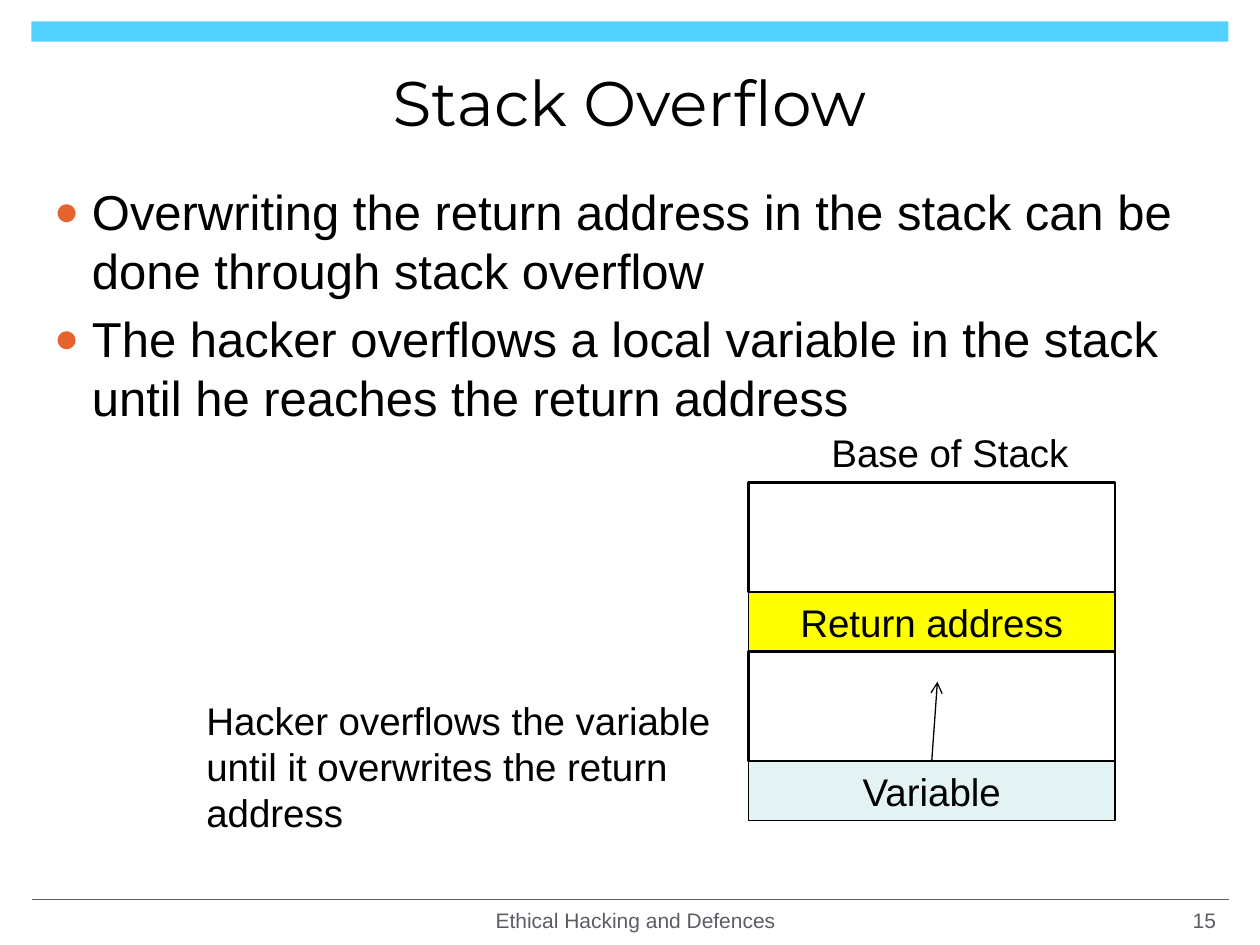
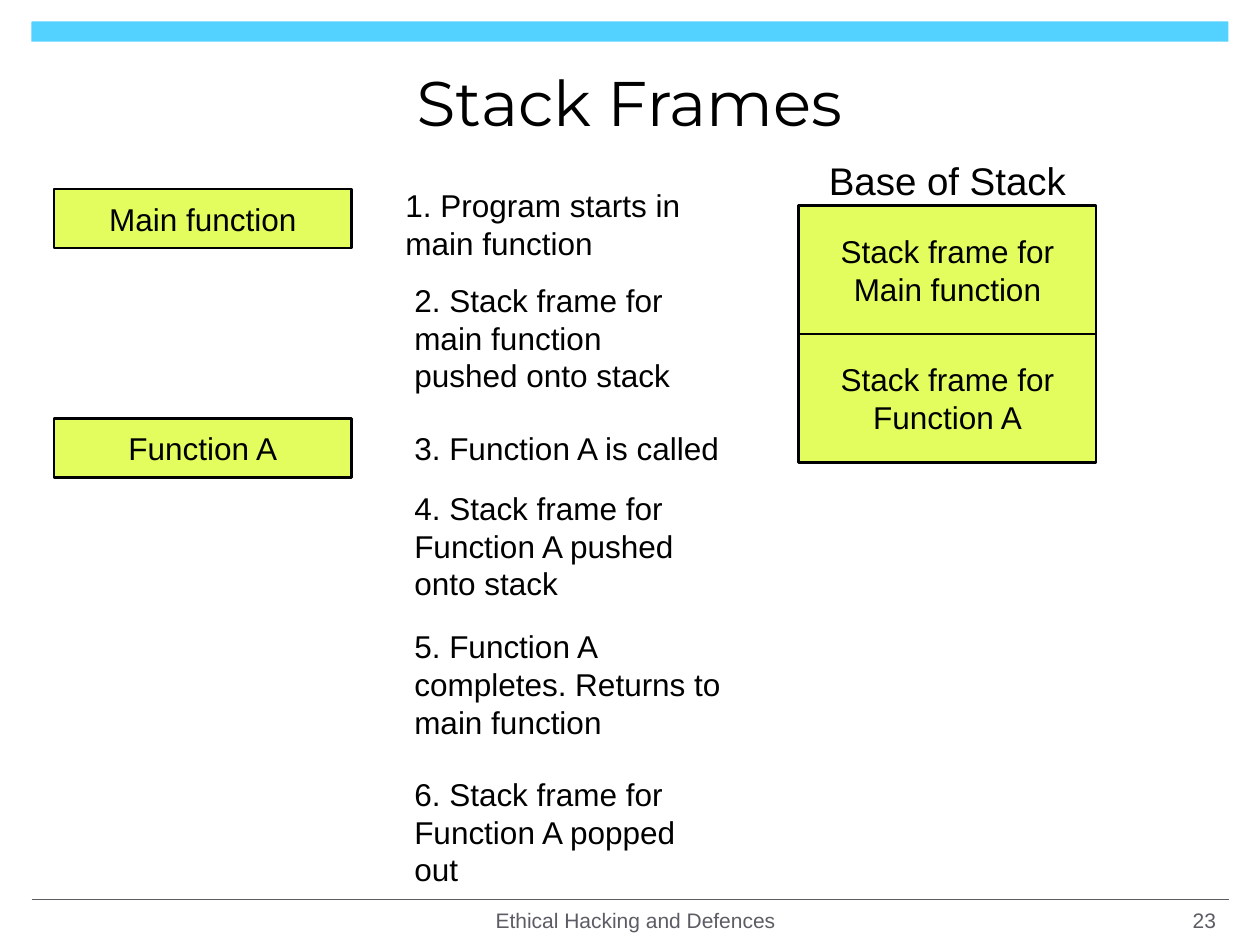
from dataclasses import dataclass

from lxml import etree
from pptx import Presentation
from pptx.dml.color import RGBColor
from pptx.enum.shapes import MSO_CONNECTOR, MSO_SHAPE
from pptx.enum.text import MSO_ANCHOR, MSO_AUTO_SIZE, PP_ALIGN
from pptx.oxml.ns import qn
from pptx.util import Inches, Pt


@dataclass(frozen=True)
class Theme:
    text: str = "000000"
    band: str = "53D2FF"
    muted: str = "5D5C64"
    bullet: str = "E6632E"
    address: str = "FFFF00"
    variable: str = "E3F3F4"
    frame: str = "E2FD5D"
    title_font: str = "Montserrat"
    body_font: str = "Arial"
    title_size: int = 36
    list_size: int = 28
    label_size: int = 22
    step_size: int = 18
    footer_size: int = 12


THEME = Theme()
TITLE_AND_BODY, TITLE_ONLY = 1, 5
FOOTER = "Ethical Hacking and Defences"


def rgb(color):
    return RGBColor.from_string(color)


def place(shape, box):
    shape.left, shape.top, shape.width, shape.height = map(Inches, box)


def style(paragraph, size, color=THEME.text, font=THEME.body_font, align=PP_ALIGN.LEFT):
    paragraph.alignment = align
    paragraph.font.name = font
    paragraph.font.size = Pt(size)
    paragraph.font.color.rgb = rgb(color)


def add_text(slide, box, text, size, color=THEME.text, align=PP_ALIGN.LEFT,
             anchor=MSO_ANCHOR.TOP, wrap=True):
    frame = slide.shapes.add_textbox(*map(Inches, box)).text_frame
    frame.word_wrap = wrap
    frame.vertical_anchor = anchor
    frame.text = text
    style(frame.paragraphs[0], size, color, align=align)


def add_block(slide, box, text="", fill=None, line=1.5, size=THEME.step_size):
    block = slide.shapes.add_shape(MSO_SHAPE.RECTANGLE, *map(Inches, box))
    block.shadow.inherit = False
    if fill:
        block.fill.solid()
        block.fill.fore_color.rgb = rgb(fill)
    else:
        block.fill.background()
    block.line.color.rgb = rgb(THEME.text)
    block.line.width = Pt(line)
    if text:
        frame = block.text_frame
        frame.word_wrap = True
        frame.vertical_anchor = MSO_ANCHOR.MIDDLE
        frame.text = text
        style(frame.paragraphs[0], size, align=PP_ALIGN.CENTER)


def add_line(slide, start, end, color, width, arrow=False):
    line = slide.shapes.add_connector(
        MSO_CONNECTOR.STRAIGHT, *map(Inches, (*start, *end)))
    line.line.color.rgb = rgb(color)
    line.line.width = Pt(width)
    if arrow:
        etree.SubElement(line.line._get_or_add_ln(), qn("a:tailEnd"), type="arrow")
    etree.SubElement(line._element.spPr, qn("a:effectLst"))


def add_base_slide(presentation, layout, title, number):
    """Add a slide with the band, title, rule and footer that all slides share."""
    slide = presentation.slides.add_slide(presentation.slide_layouts[layout])
    band = slide.shapes.add_shape(
        MSO_SHAPE.ROUND_2_SAME_RECTANGLE, *map(Inches, (0.25, 0.17, 9.5, 0.16)))
    band.adjustments[0] = 0.05
    band.shadow.inherit = False
    band.fill.solid()
    band.fill.fore_color.rgb = rgb(THEME.band)
    band.line.fill.background()
    add_line(slide, (0.25, 7.14), (9.75, 7.14), THEME.muted, 1)

    heading = slide.shapes.title
    place(heading, (0.33, 0.3, 9.33, 1.01))
    frame = heading.text_frame
    frame.text = title
    frame.auto_size = MSO_AUTO_SIZE.NONE
    frame.vertical_anchor = MSO_ANCHOR.MIDDLE
    style(frame.paragraphs[0], THEME.title_size, font=THEME.title_font,
          align=PP_ALIGN.CENTER)

    for box, text, align in (
        ((3.17, 7.13, 3.75, 0.35), FOOTER, PP_ALIGN.CENTER),
        ((7.42, 7.13, 2.33, 0.35), str(number), PP_ALIGN.RIGHT),
    ):
        add_text(slide, box, text, THEME.footer_size, THEME.muted, align,
                 MSO_ANCHOR.MIDDLE)
    return slide


def add_bullet(paragraph):
    properties = paragraph._p.get_or_add_pPr()
    indent = Inches(0.3)
    properties.set("marL", str(indent))
    properties.set("indent", str(-indent))
    color = etree.SubElement(properties, qn("a:buClr"))
    etree.SubElement(color, qn("a:srgbClr"), val=THEME.bullet)
    etree.SubElement(properties, qn("a:buSzPct"), val="85000")
    etree.SubElement(properties, qn("a:buFont"), typeface=THEME.body_font)
    etree.SubElement(properties, qn("a:buChar"), char="●")


def fill_body(slide, box, items):
    body = slide.placeholders[1]
    place(body, box)
    frame = body.text_frame
    frame.auto_size = MSO_AUTO_SIZE.NONE
    frame.text = "\n".join(items)
    for index, paragraph in enumerate(frame.paragraphs):
        add_bullet(paragraph)
        paragraph.space_before = Pt(0.2 * THEME.list_size if index else 0)
        style(paragraph, THEME.list_size)


def add_base_label(slide, left, top):
    add_text(slide, (left, top, 2.11, 0.47), "Base of Stack", THEME.label_size,
             wrap=False)


def add_overflow_stack(slide, left, top):
    width, label_height, gap_height = 2.91, 0.47, 0.87
    pitch = label_height + gap_height
    add_base_label(slide, left + 0.56, top - 0.47)
    rows = (("Return address", THEME.address), ("Variable", THEME.variable))
    for index, (text, fill) in enumerate(rows):
        label_top = top + index * pitch + gap_height
        add_block(slide, (left, label_top, width, label_height), text, fill, 0.75,
                  THEME.label_size)
    for index in range(len(rows)):
        add_block(slide, (left, top + index * pitch, width, gap_height))
    variable_top = top + pitch + gap_height
    add_line(slide, (left + width / 2, variable_top),
             (left + 1.5, variable_top - 0.63), THEME.text, 0.75, arrow=True)


def add_frame_stack(slide, left, top):
    width, height = 2.36, 1.02
    add_base_label(slide, left + 0.14, top - 0.43)
    for index, function in enumerate(("Main function", "Function A")):
        add_block(slide, (left, top + index * height, width, height),
                  f"Stack frame for {function}", THEME.frame)


def add_functions(slide, left, tops):
    for name, top in zip(("Main function", "Function A"), tops):
        add_block(slide, (left, top, 2.36, 0.47), name, THEME.frame)


def add_steps(slide, left):
    steps = (
        (-0.07, 1.43, 2.5, 0.71, "Program starts in main function"),
        (0, 2.18, 2.5, 1.01, "Stack frame for main function pushed onto stack"),
        (0, 3.36, 2.67, 0.4, "Function A is called"),
        (0, 3.83, 2.5, 1.01, "Stack frame for Function A pushed onto stack"),
        (0, 4.93, 2.67, 1.01, "Function A completes. Returns to main function"),
        (0, 6.1, 2.5, 1.01, "Stack frame for Function A popped out"),
    )
    for number, (offset, top, width, height, text) in enumerate(steps, start=1):
        add_text(slide, (left + offset, top, width, height), f"{number}. {text}",
                 THEME.step_size)


def build_stack_overflow(presentation):
    slide = add_base_slide(presentation, TITLE_AND_BODY, "Stack Overflow", 15)
    fill_body(slide, (0.33, 1.39, 9.33, 5.61), (
        "Overwriting the return address in the stack can be done through stack overflow",
        "The hacker overflows a local variable in the stack until he reaches "
        "the return address",
    ))
    add_overflow_stack(slide, 5.94, 3.83)
    add_text(slide, (1.54, 5.48, 4.33, 1.21),
             "Hacker overflows the variable until it overwrites the return address",
             THEME.label_size)


def build_stack_frames(presentation):
    slide = add_base_slide(presentation, TITLE_ONLY, "Stack Frames", 23)
    add_functions(slide, 0.43, (1.5, 3.32))
    add_frame_stack(slide, 6.34, 1.63)
    add_steps(slide, 3.19)


def main():
    presentation = Presentation()
    presentation.slide_width = Inches(10)
    presentation.slide_height = Inches(7.5)
    build_stack_overflow(presentation)
    build_stack_frames(presentation)
    presentation.save("out.pptx")


if __name__ == "__main__":
    main()
